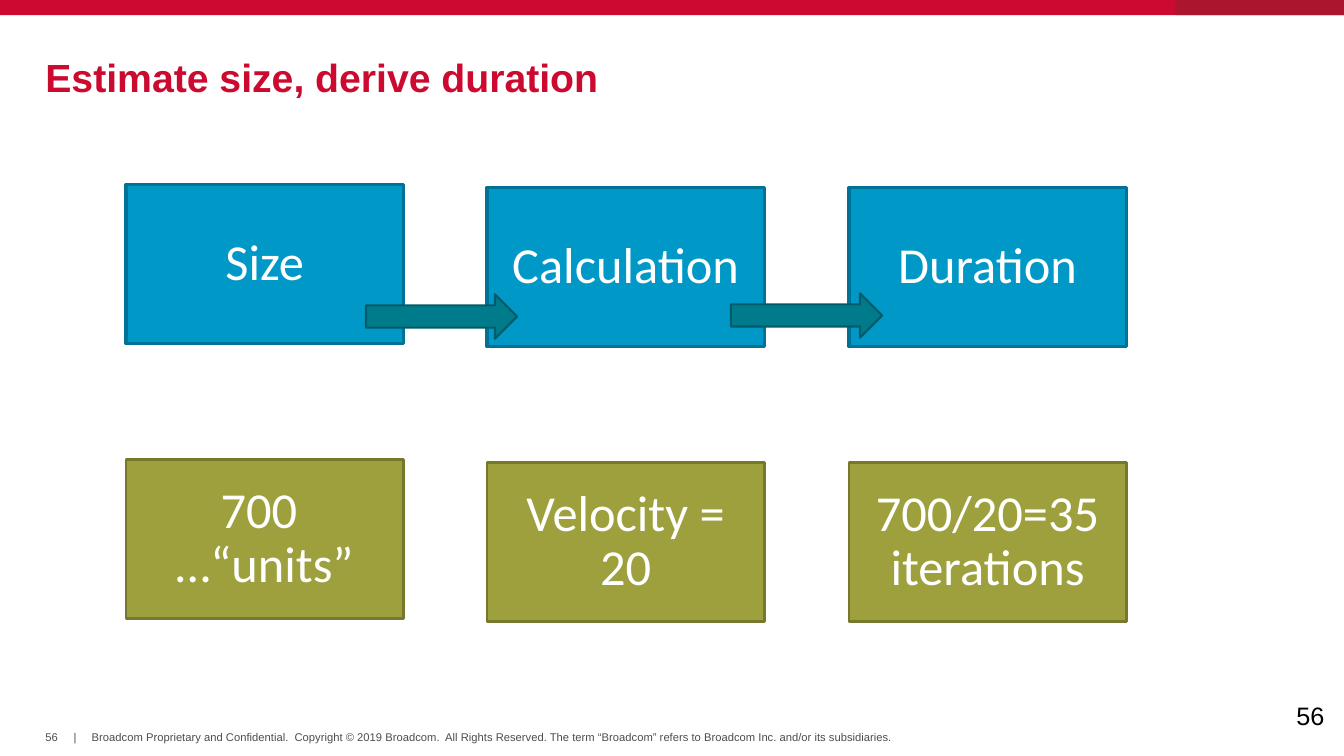
from pptx import Presentation
from pptx.dml.color import RGBColor
from pptx.enum import shapes, text
from pptx.util import Inches, Pt

RED = RGBColor(0xCC, 0x09, 0x2F)
DARK_RED = RGBColor(0xAB, 0x16, 0x2C)
BLUE = RGBColor(0x00, 0x98, 0xC7)
DARK_BLUE = RGBColor(0x00, 0x72, 0x95)
TEAL = RGBColor(0x00, 0x7B, 0x8C)
DARK_TEAL = RGBColor(0x00, 0x5C, 0x69)
OLIVE = RGBColor(0x9D, 0xA0, 0x3C)
DARK_OLIVE = RGBColor(0x76, 0x78, 0x2D)
GRAY = RGBColor(0x4D, 0x4D, 0x4F)
BLACK = RGBColor(0, 0, 0)
WHITE = RGBColor(0xFF, 0xFF, 0xFF)

RECT = shapes.MSO_SHAPE.RECTANGLE
ARROW = shapes.MSO_SHAPE.RIGHT_ARROW
LEFT, CENTER = text.PP_ALIGN.LEFT, text.PP_ALIGN.CENTER
TOP, MIDDLE = text.MSO_ANCHOR.TOP, text.MSO_ANCHOR.MIDDLE

COPYRIGHT = (
    "Broadcom Proprietary and Confidential.  Copyright © 2019 Broadcom.  "
    "All Rights Reserved. The term “Broadcom” refers to Broadcom Inc. "
    "and/or its subsidiaries."
)


def write(shape, words, size=18, color=BLACK, font="Arial", bold=False,
          align=LEFT, anchor=TOP, pad=(0, 0), space=1.0, wrap=True):
    """Fill a shape with one paragraph per line; pad is (sides, top and bottom)."""
    frame = shape.text_frame
    frame.word_wrap = wrap
    frame.auto_size = text.MSO_AUTO_SIZE.NONE
    frame.vertical_anchor = anchor
    frame.margin_left = frame.margin_right = Inches(pad[0])
    frame.margin_top = frame.margin_bottom = Inches(pad[1])
    frame.text = words
    for para in frame.paragraphs:
        para.alignment = align
        para.line_spacing = space
        para.font.name = font
        para.font.size = Pt(size)
        para.font.bold = bold
        para.font.color.rgb = color


class Deck:
    def __init__(self):
        self.prs = Presentation()
        self.prs.slide_width = Inches(13.33)
        self.prs.slide_height = Inches(7.5)
        self.slide = self.prs.slides.add_slide(self.prs.slide_layouts[5])

    def title(self, words, *area):
        head = self.slide.shapes.title
        head.left, head.top, head.width, head.height = map(Inches, area)
        write(head, words, size=28, color=RED, bold=True, anchor=MIDDLE,
              space=0.85)

    def label(self, words, *area, **style):
        box = self.slide.shapes.add_textbox(*map(Inches, area))
        write(box, words, **style)

    def shape(self, kind, fill, *area, line=None, width=1.5):
        item = self.slide.shapes.add_shape(kind, *map(Inches, area))
        item.shadow.inherit = False
        item.fill.solid()
        item.fill.fore_color.rgb = fill
        if line is None:
            item.line.fill.background()
        else:
            item.line.color.rgb = line
            item.line.width = Pt(width)
        return item

    def card(self, words, left, top, fill, line, width):
        box = self.shape(RECT, fill, left, top, 2.75, 1.58,
                         line=line, width=width)
        write(box, words, size=36, color=WHITE, font="Calibri", align=CENTER,
              anchor=MIDDLE, pad=(0.14, 0.05), space=0.9)


def main():
    deck = Deck()
    small = dict(size=8, color=GRAY, wrap=False)
    deck.label("56", 0.45, 7.25, 0.14, 0.13, anchor=MIDDLE, **small)
    deck.label(COPYRIGHT, 0.91, 7.25, 8.01, 0.13, **small)
    deck.label("|", 0.73, 7.25, 0.03, 0.13, anchor=MIDDLE, **small)
    deck.shape(RECT, RED, 0, 0, 13.33, 0.15)
    deck.shape(RECT, DARK_RED, 11.66, 0, 1.67, 0.15)
    deck.title("Estimate size, derive duration", 0.45, 0.6, 12.43, 0.4)
    deck.label("56", 12.76, 6.9, 0.57, 0.4, pad=(0.1, 0.05))

    cols = [(1.25, 0), (4.83, 0.03), (8.42, 0.03)]  # left, drop
    steps = ["Size", "Calculation", "Duration"]
    for words, (left, drop) in zip(steps, cols):
        deck.card(words, left, 1.83 + drop, BLUE, DARK_BLUE, 2.25)
    for left, top in [(3.63, 2.92), (7.25, 2.91)]:
        deck.shape(ARROW, TEAL, left, top, 1.5, 0.44, line=DARK_TEAL)
    values = ["700 \n…“units”", "Velocity = 20", "700/20=35 iterations"]
    for words, (left, drop) in zip(values, cols):
        deck.card(words, left, 4.56 + drop, OLIVE, DARK_OLIVE, 2)

    deck.prs.save("out.pptx")


if __name__ == "__main__":
    main()
